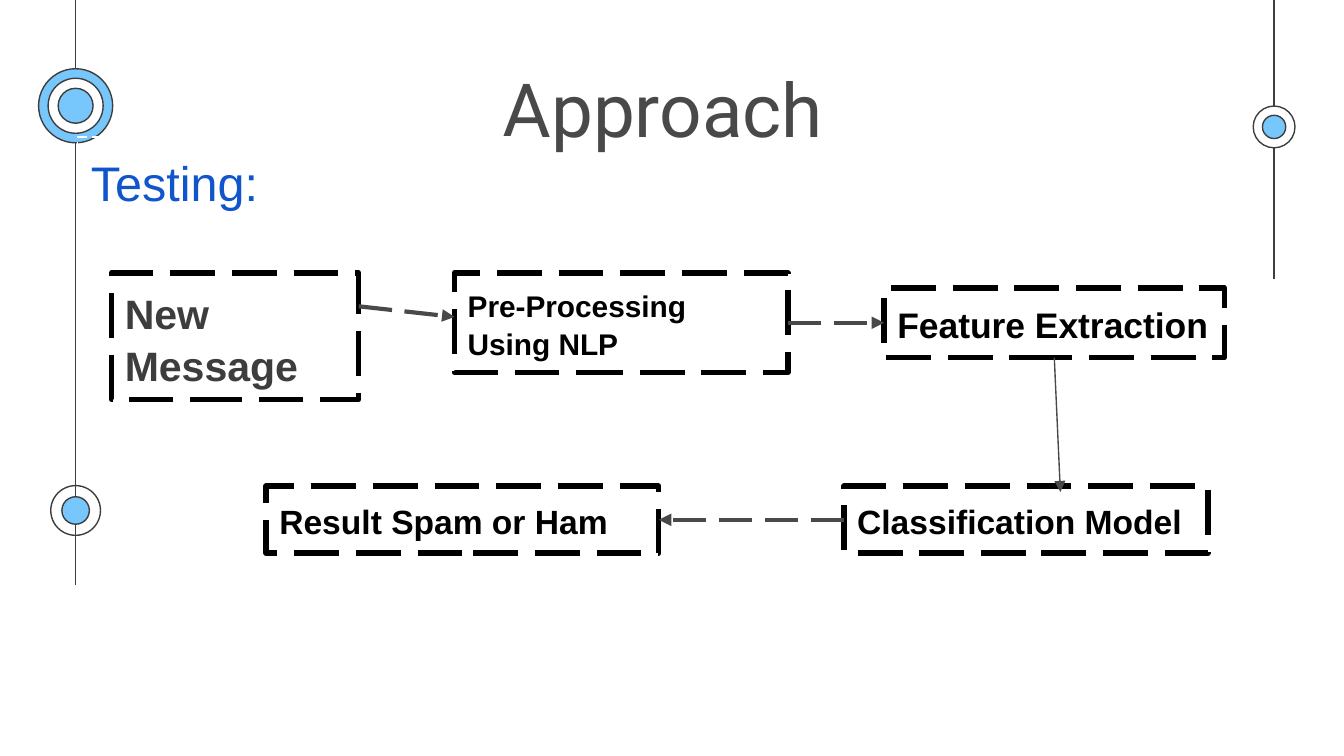
"""Build the slide on the testing approach for a spam filter."""
import pptx
import pptx.util
import pptx.dml.color
import pptx.enum.dml
import pptx.enum.shapes
import pptx.enum.text
import pptx.oxml
import pptx.oxml.ns

Cm, Pt = pptx.util.Cm, pptx.util.Pt
Kind = pptx.enum.shapes.MSO_SHAPE
Dash = pptx.enum.dml.MSO_LINE.LONG_DASH
Align = pptx.enum.text.PP_ALIGN

THEME = {
    "dark": "3D3D3D", "grey": "494949", "black": "000000",
    "white": "FFFFFF", "sky": "77C6FC", "blue": "1155CC",
    "head": "Roboto", "body": "Arial",
    "title": 40, "label": 26, "large": 22, "wide": 19, "mid": 18, "small": 16,
    "thin": 0.75, "link": 2.25, "frame": 3, "space": 1.05,
}

# x, end of the line
STEMS = [(1.43, 11.05), (24.08, 5.28)]
RINGS = [
    (1.43, 9.65, [(0.94, None), (0.52, "sky")]),
    (24.08, 2.4, [(0.79, "white"), (0.44, "sky")]),
    (1.43, 2, [(1.4, "sky"), (1.04, "white"), (0.66, "sky")]),
]
TITLE = ("Approach", (4.78, 0.94, 15.49, 1.65))
LABEL = ("Testing:", (1.47, 2.59, 8.23, 1.63))
BOXES = {
    "new": (["New Message"], (2.11, 5.16, 4.67, 2.39), "large", "dark"),
    "prep": (["Pre-Processing", "Using NLP"], (8.59, 5.16, 6.3, 1.88), "small", "black"),
    "feat": (["Feature Extraction"], (16.71, 5.44, 6.43, 1.32), "wide", "black"),
    "model": (["Classification Model"], (15.95, 9.19, 6.88, 1.27), "mid", "black"),
    "result": (["Result Spam or Ham"], (5.03, 9.19, 7.42, 1.27), "mid", "black"),
}
# An end is a point or a box with its side.
LINKS = [
    (("prep", 3), ("feat", 1), "link"),
    ((6.78, 5.79), (8.59, 5.99), "link"),
    (("feat", 2), (20.04, 9.3), "thin"),
    (("model", 1), ("result", 3), "link"),
]


def tint(name):
    """Return a theme colour."""
    return pptx.dml.color.RGBColor.from_string(THEME[name])


def edge(line, color, width, dash=False):
    """Style a line or an outline."""
    line.color.rgb = tint(color)
    line.width = Pt(THEME[width])
    if dash:
        line.dash_style = Dash


def form(slide, kind, area, fill=None):
    """Add a flat shape."""
    shape = slide.shapes.add_shape(kind, *map(Cm, area))
    shape.shadow.inherit = False
    if fill:
        shape.fill.solid()
        shape.fill.fore_color.rgb = tint(fill)
    else:
        shape.fill.background()
    return shape


def write(shape, lines, size, color, face="body", bold=False, align=Align.LEFT, space=None):
    """Put paragraphs into a shape."""
    frame = shape.text_frame
    frame.word_wrap = True
    frame.vertical_anchor = pptx.enum.text.MSO_ANCHOR.TOP
    frame.margin_left = frame.margin_right = Cm(0.25)
    frame.margin_top = frame.margin_bottom = Cm(0.25)
    frame.text = "\n".join(lines)
    for para in frame.paragraphs:
        para.alignment = align
        para.line_spacing = space
        para.font.name = THEME[face]
        para.font.size = Pt(THEME[size])
        para.font.bold = bold
        para.font.color.rgb = tint(color)


def join(slide, start, end, color, width):
    """Add a flat straight connector."""
    ends = map(Cm, (*start, *end))
    line = slide.shapes.add_connector(pptx.enum.shapes.MSO_CONNECTOR.STRAIGHT, *ends)
    edge(line.line, color, width, width == "link")
    pptx.oxml.ns.qn("a:effectLst")
    line._element.spPr.append(pptx.oxml.parse_xml(
        "<a:effectLst %s/>" % pptx.oxml.ns.nsdecls("a")))
    return line


def link(slide, shapes, start, end, width):
    """Draw an arrow and join it to its boxes."""
    spots = [(0, 0) if side[0] in shapes else side for side in (start, end)]
    line = join(slide, *spots, "grey", width)
    if start[0] in shapes:
        line.begin_connect(shapes[start[0]], start[1])
    if end[0] in shapes:
        line.end_connect(shapes[end[0]], end[1])
    line.line._get_or_add_ln().append(pptx.oxml.parse_xml(
        '<a:tailEnd %s type="triangle"/>' % pptx.oxml.ns.nsdecls("a")))


def main():
    """Build and save the slide."""
    deck = pptx.Presentation()
    deck.slide_width, deck.slide_height = Cm(25.4), Cm(14.29)
    slide = deck.slides.add_slide(deck.slide_layouts[6])

    for x, end in STEMS:
        join(slide, (x, 0), (x, end), "dark", "thin")
    for x, y, discs in RINGS:
        for size, fill in discs:
            area = (x - size / 2, y - size / 2, size, size)
            edge(form(slide, Kind.OVAL, area, fill).line, "dark", "thin")

    text, area = TITLE
    title = slide.shapes.add_textbox(*map(Cm, area))
    write(title, [text], "title", "grey", "head", align=Align.CENTER)

    shapes = {}
    for name, (lines, area, size, color) in BOXES.items():
        shapes[name] = form(slide, Kind.RECTANGLE, area)
        edge(shapes[name].line, "black", "frame", True)
        write(shapes[name], lines, size, color, bold=True, space=THEME["space"])
    for start, end, width in LINKS:
        link(slide, shapes, start, end, width)

    text, area = LABEL
    label = form(slide, Kind.RECTANGLE, area)
    edge(label.line, "white", "thin", True)
    write(label, [text], "label", "blue", space=THEME["space"])
    deck.save("out.pptx")


if __name__ == "__main__":
    main()
